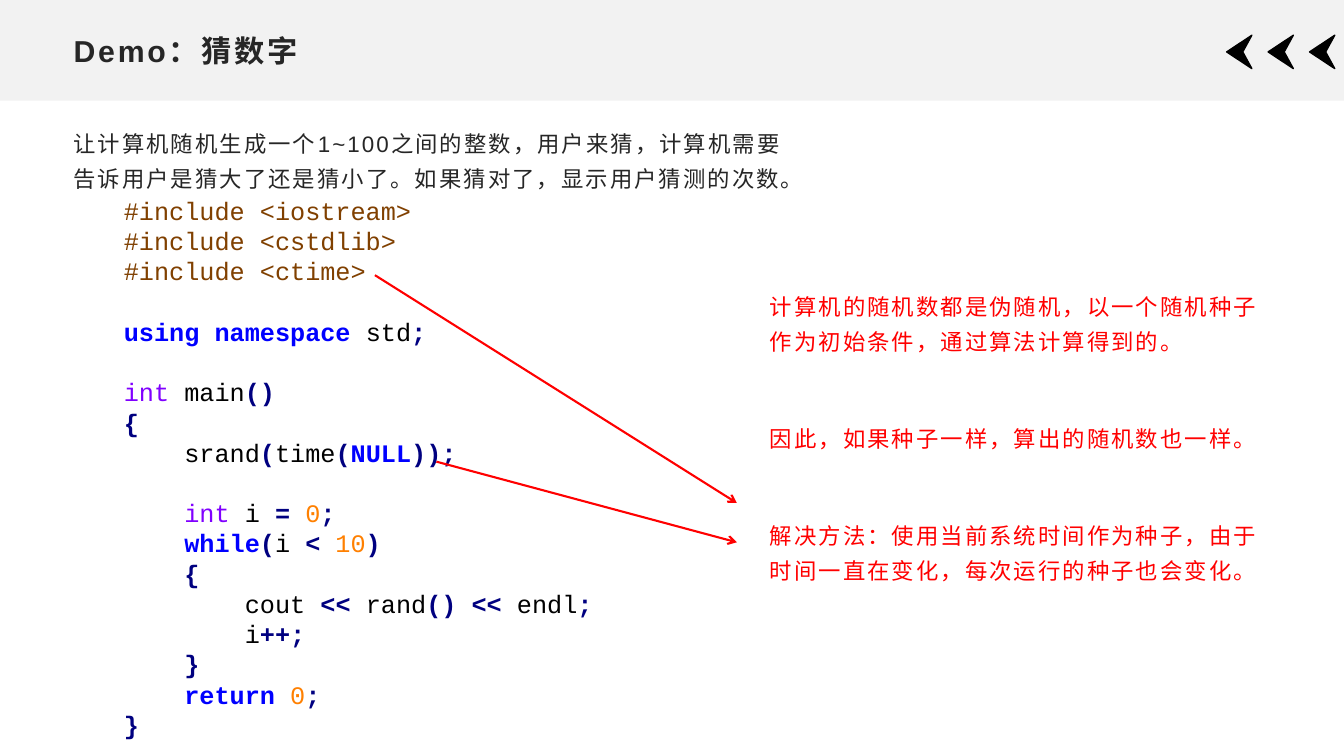
from dataclasses import dataclass
from itertools import groupby
from typing import NamedTuple

from lxml import etree
from pptx import Presentation
from pptx import util as u
from pptx.dml.color import RGBColor
from pptx.enum import lang, shapes, text
from pptx.oxml.ns import qn

Pt = u.Pt


@dataclass(frozen=True)
class Theme:
    ink: str = "262626"
    band: str = "F2F2F2"
    black: str = "000000"
    red: str = "FF0000"
    brown: str = "804000"
    blue: str = "0000FF"
    navy: str = "000080"
    violet: str = "8000FF"
    orange: str = "FF8000"
    sans: str = "Arial"
    mono: str = "Courier New"
    head: float = 21.6
    body: float = 16
    code: float = 18
    pitch: float = 21.6


class Box(NamedTuple):
    left: float
    top: float
    width: float
    height: float


class Arrow(NamedTuple):
    x1: float
    y1: float
    x2: float
    y2: float


T = Theme()
TITLE = Box(45.36, 18.72, 869, 34.56)
TASK = Box(45.36, 83.52, 532.8, 65.52)
CODE = Box(81.36, 133.92, 461.5, 391)
NOTES = Box(542.88, 200.16, 372.24, 235.44)
ARROWS = [Arrow(267.84, 196.56, 526.32, 359.28),
          Arrow(311.76, 329.76, 526.32, 387.36)]
BOLD = {"using", "namespace", "NULL", "while", "return"}

BRIEF = "让计算机随机生成一个1~100之间的整数，用户来猜，计算机需要告诉用户是猜大了还是猜小了。如果猜对了，显示用户猜测的次数。"
HINTS = [
    "计算机的随机数都是伪随机，以一个随机种子作为初始条件，通过算法计算得到的。",
    "因此，如果种子一样，算出的随机数也一样。",
    "解决方法：使用当前系统时间作为种子，由于时间一直在变化，每次运行的种子也会变化。",
]
SOURCE = """#include <iostream>
#include <cstdlib>
#include <ctime>

using namespace std;

int main()
{
    srand(time(NULL));

    int i = 0;
    while(i < 10)
    {
        cout << rand() << endl;
        i++;
    }
    return 0;
}"""


def rgb(code: str) -> RGBColor:
    return RGBColor.from_string(code)


def write(para, words: str, *, size: float, color: str, font: str = T.sans,
          bold: bool = False, track: float = 0) -> None:
    run = para.add_run()
    run.text = words
    face = run.font
    face.name, face.size, face.bold = font, Pt(size), bold
    face.color.rgb = rgb(color)
    if track:
        face.language_id = lang.MSO_LANGUAGE_ID.SIMPLIFIED_CHINESE
        run._r.get_or_add_rPr().set("spc", str(int(track * 100)))


def place(shape, box: Box) -> None:
    shape.left, shape.top, shape.width, shape.height = map(Pt, box)


def frame(slide, box: Box):
    area = slide.shapes.add_textbox(*map(Pt, box)).text_frame
    area.word_wrap = True
    return area


def prose(slide, box: Box, parts: list[str], color: str) -> None:
    area = frame(slide, box)
    for i, words in enumerate(parts):
        para = area.paragraphs[0] if i == 0 else area.add_paragraph()
        para.line_spacing = 1.3
        if i:
            para.space_before = Pt(44.5)
        write(para, words, size=T.body, color=color, track=1.5)


def kind(char: str) -> str:
    return "word" if char.isalnum() else "gap" if char == " " else "sign"


def tint(sort: str, word: str) -> tuple[str, bool]:
    if sort == "sign":
        return T.navy, True
    if word in BOLD:
        return T.blue, True
    if word == "int":
        return T.violet, False
    return (T.orange if word.isdigit() else T.black), False


def listing(slide, box: Box) -> None:
    area = frame(slide, box)
    area.margin_top = Pt(5.5)
    para, skip = area.paragraphs[0], 0
    for i, line in enumerate(SOURCE.split("\n")):
        if not line:
            skip += 1
            continue
        if i:
            para = area.add_paragraph()
        para.line_spacing = Pt(T.pitch)
        if skip:
            para.space_before = Pt(skip * T.pitch)
        skip = 0
        if line.startswith("#"):
            write(para, line, size=T.code, color=T.brown, font=T.mono)
            continue
        for sort, chars in groupby(line, kind):
            word = "".join(chars)
            color, bold = tint(sort, word)
            write(para, word, size=T.code, color=color, font=T.mono, bold=bold)


def paint(shape, fill: str, line: str | None = None) -> None:
    shape.shadow.inherit = False
    shape.fill.solid()
    shape.fill.fore_color.rgb = rgb(fill)
    if line:
        shape.line.color.rgb = rgb(line)
        shape.line.width = Pt(1)
    else:
        shape.line.fill.background()


def chevron(slide, left: float) -> None:
    pen = slide.shapes.build_freeform(Pt(left + 18), Pt(49))
    pen.add_line_segments([(Pt(left + x), Pt(y)) for x, y in
                           [(0, 37.1), (18, 25.2), (11.5, 37.1)]], close=True)
    paint(pen.convert_to_shape(), T.black, T.black)


def point(slide, arrow: Arrow) -> None:
    link = slide.shapes.add_connector(shapes.MSO_CONNECTOR.STRAIGHT, *map(Pt, arrow))
    link.line.color.rgb = rgb(T.red)
    link.line.width = Pt(1.5)
    etree.SubElement(link.line._get_or_add_ln(), qn("a:tailEnd"), type="arrow")
    etree.SubElement(link._element.spPr, qn("a:effectLst"))


def main() -> None:
    deck = Presentation()
    deck.slide_width, deck.slide_height = Pt(960), Pt(540)
    slide = deck.slides.add_slide(deck.slide_layouts[5])

    # Header band, behind the title
    band = slide.shapes.add_shape(shapes.MSO_SHAPE.RECTANGLE, 0, 0, Pt(960), Pt(72))
    paint(band, T.band)
    slide.shapes._spTree.insert(2, band._element)
    for i in range(3):
        chevron(slide, 876.2 + i * 29.6)

    # Title
    title = slide.shapes.title
    place(title, TITLE)
    area = title.text_frame
    area.word_wrap = True
    area.vertical_anchor = text.MSO_ANCHOR.MIDDLE
    para = area.paragraphs[0]
    para.alignment = text.PP_ALIGN.LEFT
    write(para, "Demo：猜数字", size=T.head, color=T.ink, bold=True, track=2)

    # Task, code and notes
    prose(slide, TASK, [BRIEF], T.ink)
    listing(slide, CODE)
    prose(slide, NOTES, HINTS, T.red)

    # Arrows from the code to the notes
    for arrow in ARROWS:
        point(slide, arrow)

    deck.save("out.pptx")


if __name__ == "__main__":
    main()
